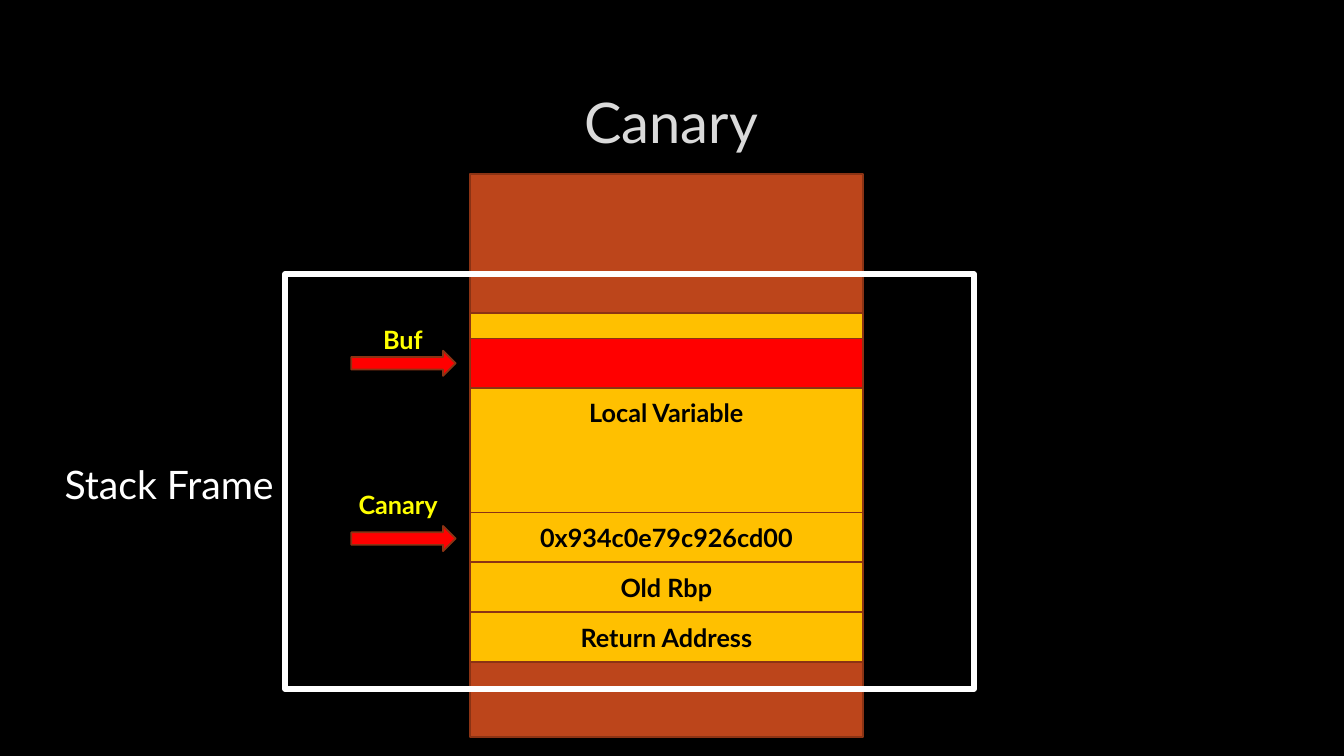
from pptx import Presentation
from pptx import util as u
from pptx.dml import color
from pptx.enum import shapes, text

BOX = shapes.MSO_SHAPE.RECTANGLE
ARROW = shapes.MSO_SHAPE.RIGHT_ARROW
LEFT, MID = text.PP_ALIGN.LEFT, text.PP_ALIGN.CENTER


def rgb(code):
    return color.RGBColor.from_string(code)


def apply(obj, vals):
    for name, val in vals.items():
        setattr(obj, name, val)


class Board:
    face = "Lato"
    edge = "8B3314"
    gold = "FFC000"

    def __init__(self, deck):
        self.slide = deck.slides.add_slide(deck.slide_layouts[5])
        fill = self.slide.background.fill
        fill.solid()
        fill.fore_color.rgb = rgb("000000")

    def letter(self, shape, words, size, ink, bold=True, align=MID, **frame):
        apply(shape.text_frame, {"vertical_anchor": text.MSO_ANCHOR.MIDDLE,
                                 "word_wrap": True, **frame})
        para = shape.text_frame.paragraphs[0]
        para.alignment = align
        run = para.add_run()
        run.text = words
        apply(run.font, {"name": self.face, "size": u.Pt(size), "bold": bold})
        run.font.color.rgb = rgb(ink)

    def title(self, words, *place):
        head = self.slide.shapes.title
        apply(head, dict(zip(("left", "top", "width", "height"), map(u.Pt, place))))
        self.letter(head, words, 40, "DADADA", bold=False)

    def shape(self, kind, place, fill=None, words="", line=edge, width=1.25):
        item = self.slide.shapes.add_shape(kind, *map(u.Pt, place))
        item.shadow.inherit = False
        if fill:
            item.fill.solid()
            item.fill.fore_color.rgb = rgb(fill)
        else:
            item.fill.background()
        item.line.color.rgb = rgb(line)
        item.line.width = u.Pt(width)
        if words:
            self.letter(item, words, 18, "000000")

    def label(self, words, place, size=18, ink="FFFF00", **style):
        item = self.slide.shapes.add_textbox(*map(u.Pt, place))
        self.letter(item, words, size, ink, word_wrap=False,
                    auto_size=text.MSO_AUTO_SIZE.SHAPE_TO_FIT_TEXT,
                    vertical_anchor=text.MSO_ANCHOR.TOP, **style)


def main():
    deck = Presentation()
    apply(deck, {"slide_width": u.Pt(960), "slide_height": u.Pt(540)})
    board = Board(deck)
    board.title("Canary", 72, 48, 815, 76.5)

    left, wide, row = 335.6, 280.8, 35.6
    local, guard = 223.4, 366
    board.shape(BOX, (left, 124.5, wide, 402), "BC451B")
    board.shape(BOX, (left, local, wide, guard - local), board.gold, "Local Variable")
    for i, words in enumerate(("0x934c0e79c926cd00", "Old Rbp", "Return Address")):
        board.shape(BOX, (left, guard + i * row, wide, row), board.gold, words)
    board.shape(BOX, (left, 241.8, wide, row), "FF0000")
    for top in (250.5, 375.7):
        board.shape(ARROW, (251, top, 74.5, 18), "FF0000")

    board.label("Stack Frame", (39, 325.5, 165, 41), 28, "FFFFFF",
                bold=False, align=LEFT)
    board.shape(BOX, (203.7, 196, 492, 296), line="FFFFFF", width=4.5)
    board.label("Buf", (266.5, 227.8, 42.5, 29))
    board.label("Canary", (249, 346, 73.5, 29), align=LEFT)
    deck.save("out.pptx")


if __name__ == "__main__":
    main()
